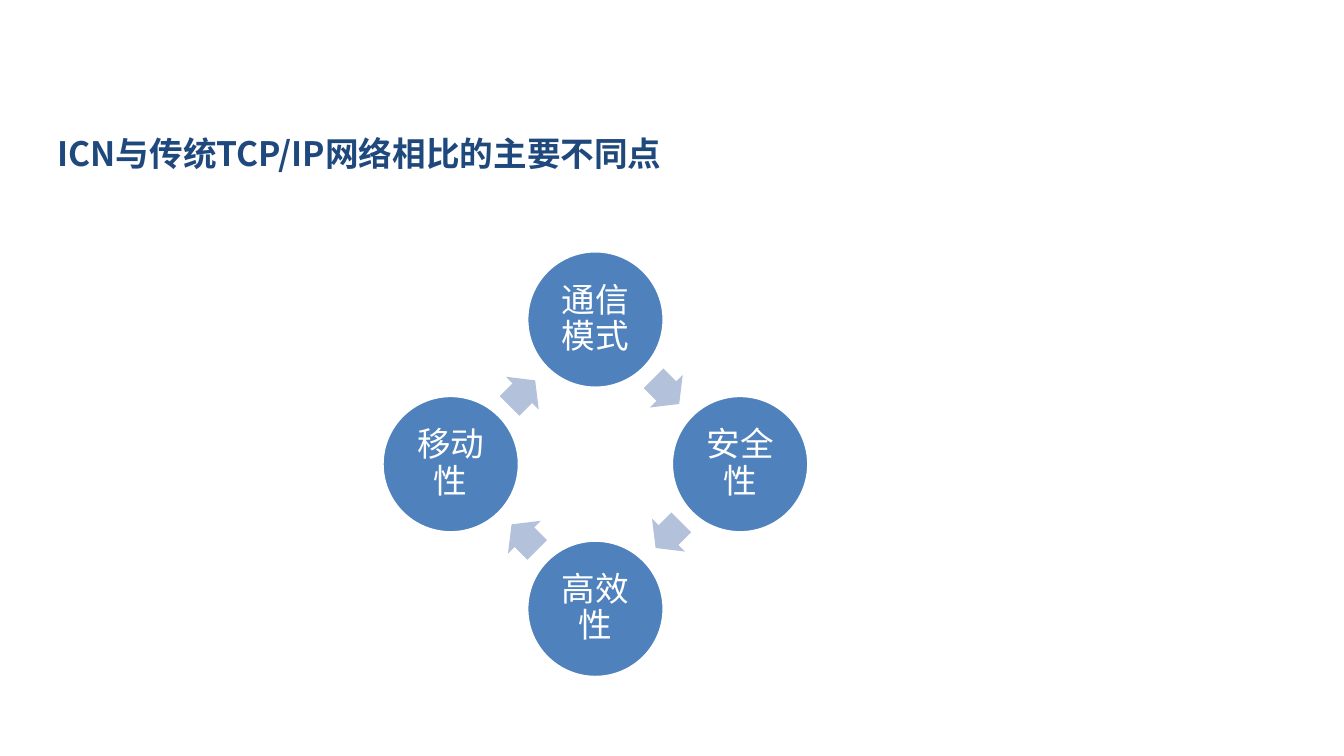
from math import cos, radians, sin

from lxml.etree import SubElement
from pptx import Presentation
from pptx.dml.color import RGBColor
from pptx.enum.lang import MSO_LANGUAGE_ID
from pptx.enum.shapes import MSO_SHAPE
from pptx.enum.text import MSO_ANCHOR, MSO_AUTO_SIZE, PP_ALIGN
from pptx.oxml.ns import qn
from pptx.util import Inches, Pt

WIDE, HIGH = 13.33, 7.5
MID_X, MID_Y = 0.443 * WIDE, 0.614 * HIGH
RING = 1.435
DISC = 1.35
GAP_RING = 1.01
HAN = "Noto Sans CJK SC"
TOPICS = ["通信模式", "安全性", "高效性", "移动性"]


def color(code):
    return RGBColor.from_string(code)


def write(shape, text, font, code, align, bold=False):
    frame = shape.text_frame
    frame.text = text
    frame.word_wrap = True
    frame.auto_size = MSO_AUTO_SIZE.NONE
    frame.vertical_anchor = MSO_ANCHOR.MIDDLE
    para = frame.paragraphs[0]
    para.alignment = align
    style = para.runs[0].font
    style.name, style.size, style.bold = font, Pt(24), bold
    style.color.rgb = color(code)
    style.language_id = MSO_LANGUAGE_ID.SIMPLIFIED_CHINESE
    SubElement(para.runs[0]._r.rPr, qn("a:ea")).set("typeface", HAN)
    return frame


def add_title(slide, text):
    title = slide.shapes.title
    title.left, title.top = Inches(0.47), Inches(1.08)
    title.width, title.height = Inches(12), Inches(0.88)
    write(title, text, HAN, "1F497D", PP_ALIGN.LEFT, bold=True)


def add_orbit(slide, kind, angle, radius, width, height, fill):
    """Add a shape centred on the ring, at an angle clockwise from the right."""
    x = MID_X + radius * cos(radians(angle)) - width / 2
    y = MID_Y + radius * sin(radians(angle)) - height / 2
    shape = slide.shapes.add_shape(
        kind, Inches(x), Inches(y), Inches(width), Inches(height))
    shape.shadow.inherit = False
    shape.fill.solid()
    shape.fill.fore_color.rgb = color(fill)
    return shape


def add_disc(slide, angle, text):
    disc = add_orbit(slide, MSO_SHAPE.OVAL, angle, RING, DISC, DISC, "4F81BD")
    disc.line.color.rgb = color("FFFFFF")
    disc.line.width = Pt(1.5)
    frame = write(disc, text, "Arial", "FFFFFF", PP_ALIGN.CENTER)
    frame.margin_left = frame.margin_right = Inches(0.03)
    frame.margin_top = frame.margin_bottom = Inches(0.03)
    frame.paragraphs[0].line_spacing = 0.9


def add_arrow(slide, angle):
    """Add an arrow midway to the next disc, set slightly back."""
    arrow = add_orbit(slide, MSO_SHAPE.RIGHT_ARROW, angle + 44.2, GAP_RING,
                      0.36, 0.46, "B3C1DB")
    arrow.line.fill.background()
    arrow.adjustments[0], arrow.adjustments[1] = 0.6, 0.5
    arrow.rotation = (angle + 135) % 360


def main():
    deck = Presentation()
    deck.slide_width, deck.slide_height = Inches(WIDE), Inches(HIGH)
    slide = deck.slides.add_slide(deck.slide_layouts[5])
    add_title(slide, "ICN与传统TCP/IP网络相比的主要不同点")
    for index, topic in enumerate(TOPICS):
        angle = -90 + index * 360 / len(TOPICS)
        add_disc(slide, angle, topic)
        add_arrow(slide, angle)
    deck.save("out.pptx")


if __name__ == "__main__":
    main()
